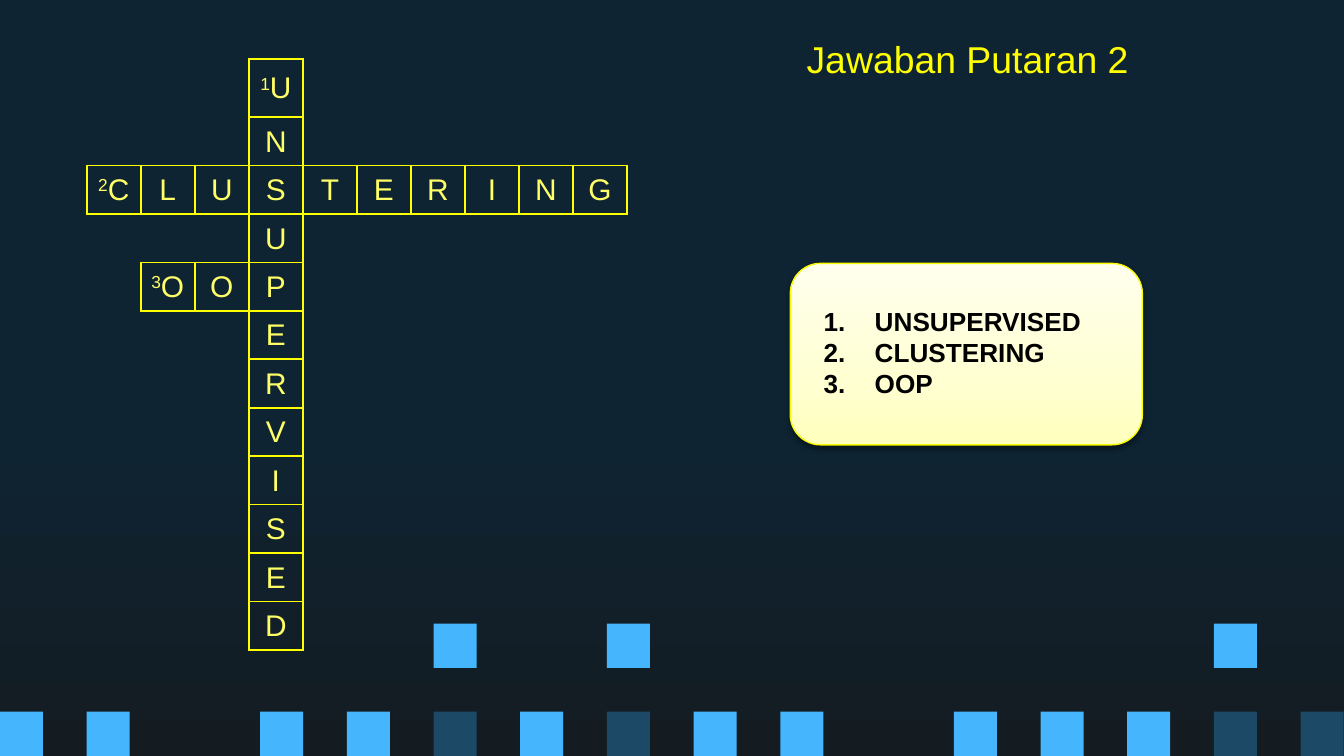
from lxml import etree
from pptx import Presentation
from pptx.dml.color import RGBColor
from pptx.enum.shapes import MSO_SHAPE
from pptx.enum.text import MSO_ANCHOR, MSO_AUTO_SIZE, PP_ALIGN
from pptx.oxml.ns import qn
from pptx.util import Inches, Pt

RECTANGLE, ROUNDED = MSO_SHAPE.RECTANGLE, MSO_SHAPE.ROUNDED_RECTANGLE
MIDDLE, CENTER = MSO_ANCHOR.MIDDLE, PP_ALIGN.CENTER
GROW = MSO_AUTO_SIZE.SHAPE_TO_FIT_TEXT
NO_GRID_STYLE = "{2D5ABB26-0587-4C30-8999-92F81FD0307C}"
FONT = "Arial"
COLORS = {
    "night": "0E2433", "night_end": "141C21",
    "square": "45B6FE", "square_dim": "1C4966",
    "title": "FFFF00", "grid": "FFFF00", "letter": "FFFF66",
    "card_low": "FFFFBD", "card_mid": "FFFFD1", "card_high": "FFFFEE",
    "card_line": "F9F900", "black": "000000",
}

SLIDE_WIDTH = 10
SLIDE_HEIGHT = SLIDE_WIDTH * 9 / 16
SQUARE_STEP = SLIDE_WIDTH / 15.5
SQUARE_WIDTH, SQUARE_HEIGHT = 0.32, 0.33
LOWER_SQUARES = (0, 1, 3, 4, 5, 6, 7, 8, 9, 11, 12, 13, 14, 15)
DIM_SQUARES = (5, 7, 14, 15)
UPPER_SQUARES = (5, 7, 14)

ROWS, COLUMNS = 12, 10
FIRST_ROW_HEIGHT = 0.43
# word, row, column, row step, column step
WORDS = (
    ("UNSUPERVISED", 0, 3, 1, 0),
    ("CLUSTERING", 2, 0, 0, 1),
    ("OOP", 4, 1, 0, 1),
)


def rgb(name):
    return RGBColor.from_string(COLORS[name])


def add_child(parent, tag, **attributes):
    child = etree.SubElement(parent, qn(tag))
    for key, value in attributes.items():
        child.set(key, str(value))
    return child


def add_color(parent, name):
    return add_child(parent, "a:srgbClr", val=COLORS[name])


def add_span(para, text, size=16, color="letter", bold=False, raised=False):
    span = para.add_run()
    span.text = text
    font = span.font
    font.name, font.size, font.bold = FONT, Pt(size), bold
    font.color.rgb = rgb(color)
    if raised:
        font._element.set("baseline", "30000")


def set_gradient(fill, owner, angle, stops):
    """Fill with (percent, colour) stops; owner is the element around the fill."""
    fill.gradient()
    fill.gradient_angle = angle
    stop_list = next(owner.iter(qn("a:gsLst")))
    for stop in list(stop_list):
        stop_list.remove(stop)
    for percent, color in stops:
        add_color(add_child(stop_list, "a:gs", pos=percent * 1000), color)


def place_letters():
    """Map each (row, column) to its clue number, if any, and its letter."""
    letters = {}
    for number, (word, row, column, down, across) in enumerate(WORDS, 1):
        for index, letter in enumerate(word):
            clue = "" if index else str(number)
            spot = (row + index * down, column + index * across)
            letters.setdefault(spot, (clue, letter))
    return letters


class SlideBuilder:
    def __init__(self, page):
        self.page = page

    def background(self):
        set_gradient(self.page.background.fill, self.page.element, 270,
                     ((0, "night"), (56, "night"), (100, "night_end")))

    def square(self, column, top, color):
        shape = self.page.shapes.add_shape(
            RECTANGLE, Inches(column * SQUARE_STEP), Inches(top),
            Inches(SQUARE_WIDTH), Inches(SQUARE_HEIGHT))
        shape.shadow.inherit = False
        shape.fill.solid()
        shape.fill.fore_color.rgb = rgb(color)
        shape.line.fill.background()

    def title(self, text, left, top, width, height):
        box = self.page.shapes.add_textbox(
            Inches(left), Inches(top), Inches(width), Inches(height))
        frame = box.text_frame
        frame.word_wrap = True
        frame.vertical_anchor = MIDDLE
        para = frame.paragraphs[0]
        para.alignment = CENTER
        add_span(para, text, size=20, color="title")

    def cell_borders(self, cell, spot, letters):
        """Draw each edge that touches a lettered cell."""
        row, column = spot
        sides = {"a:lnL": (row, column - 1), "a:lnR": (row, column + 1),
                 "a:lnT": (row - 1, column), "a:lnB": (row + 1, column)}
        properties = cell._tc.get_or_add_tcPr()
        for tag, neighbour in sides.items():
            line = add_child(properties, tag, w=Pt(1))
            if spot in letters or neighbour in letters:
                add_color(add_child(line, "a:solidFill"), "grid")
            else:
                add_child(line, "a:noFill")

    def crossword(self, left, top, width, height):
        table = self.page.shapes.add_table(
            ROWS, COLUMNS, Inches(left), Inches(top),
            Inches(width), Inches(height)).table
        table.first_row = table.horz_banding = False
        next(table._tbl.iter(qn("a:tableStyleId"))).text = NO_GRID_STYLE
        for column in table.columns:
            column.width = Inches(width / COLUMNS)
        for row in table.rows:
            row.height = Inches((height - FIRST_ROW_HEIGHT) / (ROWS - 1))
        table.rows[0].height = Inches(FIRST_ROW_HEIGHT)

        letters = place_letters()
        for index, cell in enumerate(table.iter_cells()):
            spot = divmod(index, COLUMNS)
            cell.margin_left = cell.margin_right = cell.margin_top = Inches(0.01)
            cell.margin_bottom = 0
            cell.vertical_anchor = MIDDLE
            self.cell_borders(cell, spot, letters)
            cell.fill.background()
            if spot in letters:
                clue, letter = letters[spot]
                para = cell.text_frame.paragraphs[0]
                para.alignment = CENTER
                if clue:
                    add_span(para, clue, raised=True)
                add_span(para, letter)

    def card(self, left, top, width, height):
        shape = self.page.shapes.add_shape(
            ROUNDED, Inches(left), Inches(top), Inches(width), Inches(height))
        set_gradient(shape.fill, shape.element, 90,
                     ((0, "card_low"), (35, "card_mid"), (100, "card_high")))
        shape.line.color.rgb = rgb("card_line")
        shape.line.width = Pt(0.75)
        shape.shadow.inherit = False
        effects = next(shape.element.iter(qn("a:effectLst")))
        shadow = add_child(effects, "a:outerShdw", blurRad=Pt(3.1),
                           dist=Pt(1.6), dir=90 * 60000, rotWithShape=0)
        add_child(add_color(shadow, "black"), "a:alpha", val=38000)
        return shape

    def numbered_list(self, items, left, top, width, height):
        box = self.page.shapes.add_textbox(
            Inches(left), Inches(top), Inches(width), Inches(height))
        frame = box.text_frame
        frame.word_wrap = True
        frame.auto_size = GROW
        for index, item in enumerate(items):
            para = frame.add_paragraph() if index else frame.paragraphs[0]
            properties = para._p.get_or_add_pPr()
            properties.set("marL", str(Inches(0.38)))
            properties.set("indent", str(-Inches(0.38)))
            add_color(add_child(properties, "a:buClr"), "black")
            add_child(properties, "a:buFont", typeface="+mj-lt")
            add_child(properties, "a:buAutoNum", type="arabicPeriod")
            add_span(para, item, size=14, color="black", bold=True)
        return box


def main():
    deck = Presentation()
    deck.slide_width, deck.slide_height = Inches(SLIDE_WIDTH), Inches(SLIDE_HEIGHT)
    page = deck.slides.add_slide(deck.slide_layouts[6])
    builder = SlideBuilder(page)
    builder.background()
    for column in LOWER_SQUARES:
        color = "square_dim" if column in DIM_SQUARES else "square"
        builder.square(column, SLIDE_HEIGHT - SQUARE_HEIGHT, color)
    for column in UPPER_SQUARES:
        builder.square(column, 4.64, "square")
    builder.title("Jawaban Putaran 2", 4.74, 0.31, 4.92, 0.25)
    builder.crossword(SQUARE_STEP, 0.44, 4.02, 4.4)
    card = builder.card(5.88, 1.96, 2.62, 1.35)
    answers = builder.numbered_list([word for word, *_ in WORDS],
                                    6.03, 2.22, 2.28, 0.81)
    page.shapes.add_group_shape([card, answers])
    deck.save("out.pptx")


if __name__ == "__main__":
    main()
